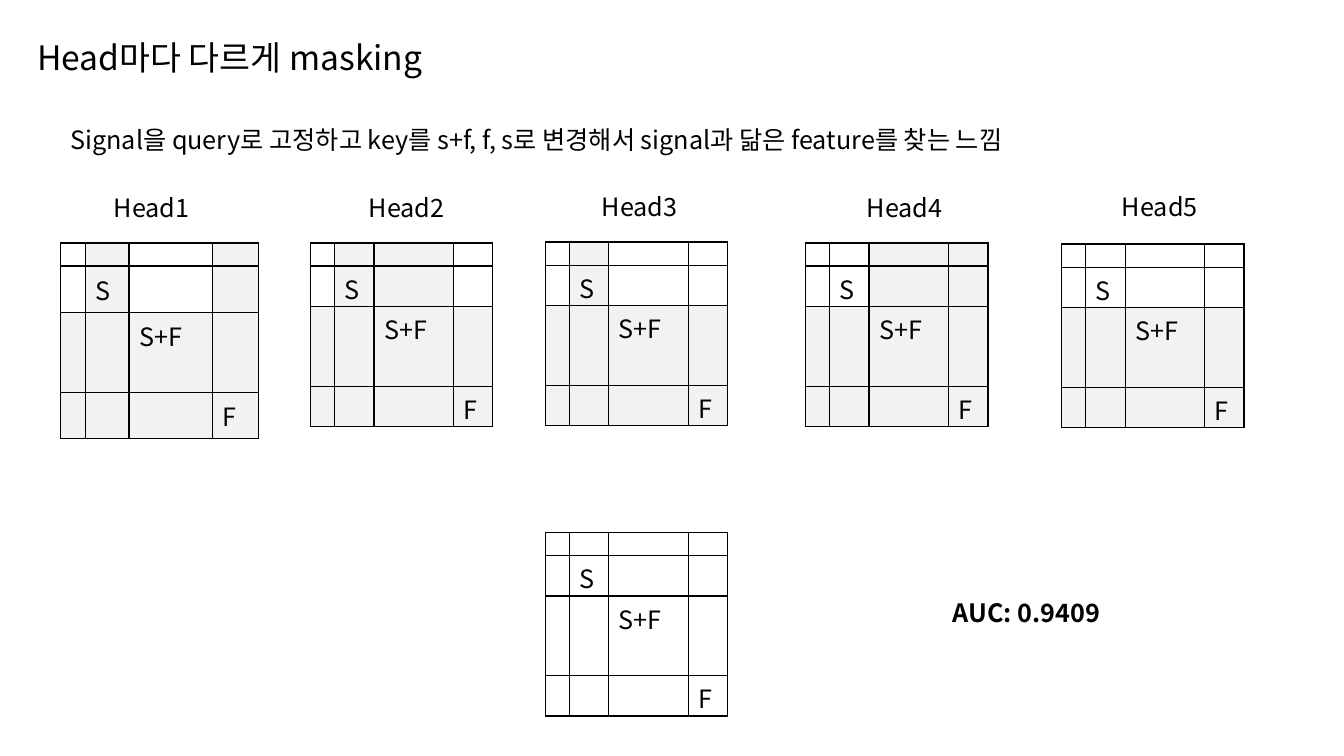
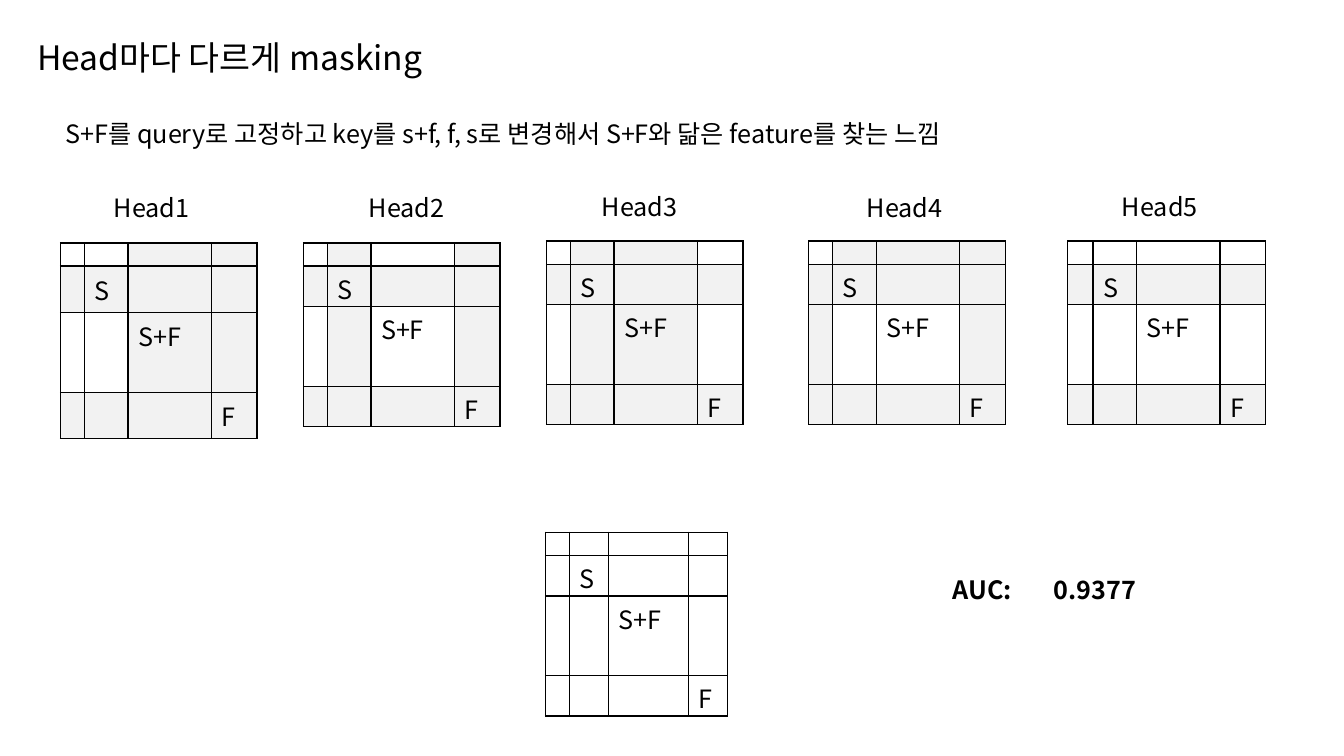
from dataclasses import dataclass
from lxml.etree import SubElement
from pptx import Presentation
from pptx.dml.color import RGBColor
from pptx.enum.text import MSO_ANCHOR, MSO_AUTO_SIZE, PP_ALIGN
from pptx.oxml import parse_xml
from pptx.oxml.ns import nsdecls, qn
from pptx.slide import Slide
from pptx.util import Inches, Pt


@dataclass(frozen=True)
class Theme:
    font: str = "Noto Sans CJK KR"
    ink: str = "000000"
    shade: str = "F2F2F2"
    paper: str = "FFFFFF"
    title: int = 24
    body: int = 18
    blank: int = 6
    rule: int = 1


@dataclass(frozen=True)
class Grid:
    left: float
    top: float
    mask: str
    cols: tuple[float, ...]
    pad: tuple[float, float] = (0.04, 0)


@dataclass(frozen=True)
class Note:
    left: float
    top: float
    width: float
    text: str
    bold: bool = False


@dataclass(frozen=True)
class Page:
    lead: Note
    score: Note
    grids: tuple[Grid, ...]


THEME = Theme()
TITLE = "Head마다 다르게 masking"
ROWS = (0.23, 0.39, 0.79, 0.39)
SLIM = ROWS
WIDE = (0.23, 0.43, 0.83, 0.45)
BROAD = (0.25, 0.43, 0.83, 0.45)
ROOMY = (0.05, 0.05)
MARKS = {(1, 1): "S", (2, 2): "S+F", (3, 3): "F"}
HEADS = tuple(
    Note(left, top, 1.7, f"Head{num}")
    for num, (left, top) in enumerate(
        ((1.03, 1.86), (3.56, 1.86), (5.87, 1.85), (8.5, 1.86), (11.03, 1.85)), 1
    )
)
TOTAL = Grid(5.41, 5.28, ".... .... .... ....", SLIM)

PAGES = (
    Page(
        Note(0.6, 1.18, 12.47,
             "Signal을 query로 고정하고 key를 s+f, f, s로 변경해서 signal과 닮은 feature를 찾는 느낌"),
        Note(9.35, 5.88, 2.85, "AUC: 0.9409", True),
        (
            Grid(0.6, 2.41, ".#.# .#.# #### ####", BROAD, ROOMY),
            Grid(3.08, 2.41, ".##. .##. #### ####", SLIM),
            Grid(5.41, 2.4, ".#.. .#.. #### ####", SLIM),
            Grid(7.99, 2.41, "..## ..## #### ####", SLIM),
            Grid(10.53, 2.42, ".... .... #### ####", SLIM),
        ),
    ),
    Page(
        Note(0.55, 1.12, 11.22,
             "S+F를 query로 고정하고 key를 s+f, f, s로 변경해서 S+F와 닮은 feature를 찾는 느낌"),
        Note(9.35, 5.65, 2.85, "AUC:\t0.9377", True),
        (
            Grid(0.6, 2.41, "..## #### ..## ####", WIDE, ROOMY),
            Grid(3.01, 2.41, ".#.# #### .#.# ####", WIDE),
            Grid(5.42, 2.39, ".##. #### .##. ####", WIDE),
            Grid(8.02, 2.39, ".### #### #..# ####", WIDE),
            Grid(10.59, 2.39, ".... #### .... ####", BROAD),
        ),
    ),
)


def write(frame, text: str, *, size: int = THEME.body, bold: bool = False) -> None:
    para = frame.paragraphs[0]
    para.alignment = PP_ALIGN.LEFT
    run = para.add_run()
    run.text = text
    font = run.font
    font.name, font.size, font.bold = THEME.font, Pt(size), bold
    font.color.rgb = RGBColor.from_string(THEME.ink)
    east = SubElement(run._r.get_or_add_rPr(), qn("a:ea"))
    east.set("typeface", THEME.font)


def label(slide: Slide, note: Note) -> None:
    box = slide.shapes.add_textbox(
        Inches(note.left), Inches(note.top), Inches(note.width), Inches(0.4)
    )
    frame = box.text_frame
    frame.word_wrap = True
    frame.auto_size = MSO_AUTO_SIZE.SHAPE_TO_FIT_TEXT
    write(frame, note.text, bold=note.bold)


def edge(cell) -> None:
    props = cell._tc.get_or_add_tcPr()
    for spot, side in enumerate("LRTB"):
        props.insert(spot, parse_xml(
            f'<a:ln{side} {nsdecls("a")} w="{Pt(THEME.rule)}"><a:solidFill>'
            f'<a:srgbClr val="{THEME.ink}"/></a:solidFill></a:ln{side}>'
        ))


def draw(slide: Slide, grid: Grid) -> None:
    shape = slide.shapes.add_table(
        len(ROWS), len(grid.cols), Inches(grid.left), Inches(grid.top),
        Inches(sum(grid.cols)), Inches(1.82),
    )
    table = shape.table
    table.first_row = table.horz_banding = False
    for col, width in zip(table.columns, grid.cols):
        col.width = Inches(width)
    for row, height in zip(table.rows, ROWS):
        row.height = Inches(height)
    shape.height = Inches(1.82)
    for y, line in enumerate(grid.mask.split()):
        for x, mark in enumerate(line):
            cell = table.cell(y, x)
            cell.margin_top, cell.margin_bottom = map(Inches, grid.pad)
            cell.fill.solid()
            cell.fill.fore_color.rgb = RGBColor.from_string(
                THEME.shade if mark == "#" else THEME.paper
            )
            edge(cell)
            if (y, x) in MARKS:
                write(cell.text_frame, MARKS[y, x])
            else:
                para = cell.text_frame.paragraphs[0]._p
                SubElement(para, qn("a:endParaRPr")).set("sz", str(THEME.blank * 100))


def head(slide: Slide) -> None:
    shape = slide.shapes.title
    shape.left, shape.top = Inches(0.27), Inches(-0.13)
    shape.width, shape.height = Inches(11.5), Inches(1.45)
    frame = shape.text_frame
    frame.word_wrap = True
    frame.auto_size = MSO_AUTO_SIZE.NONE
    frame.vertical_anchor = MSO_ANCHOR.MIDDLE
    write(frame, TITLE, size=THEME.title)
    frame.paragraphs[0].line_spacing = 0.9


def main() -> None:
    deck = Presentation()
    deck.slide_width, deck.slide_height = Inches(13.33), Inches(7.5)
    for page in PAGES:
        slide = deck.slides.add_slide(deck.slide_layouts[5])
        head(slide)
        for grid in (*page.grids, TOTAL):
            draw(slide, grid)
        for note in (*HEADS, page.lead, page.score):
            label(slide, note)
    deck.save("out.pptx")


if __name__ == "__main__":
    main()
